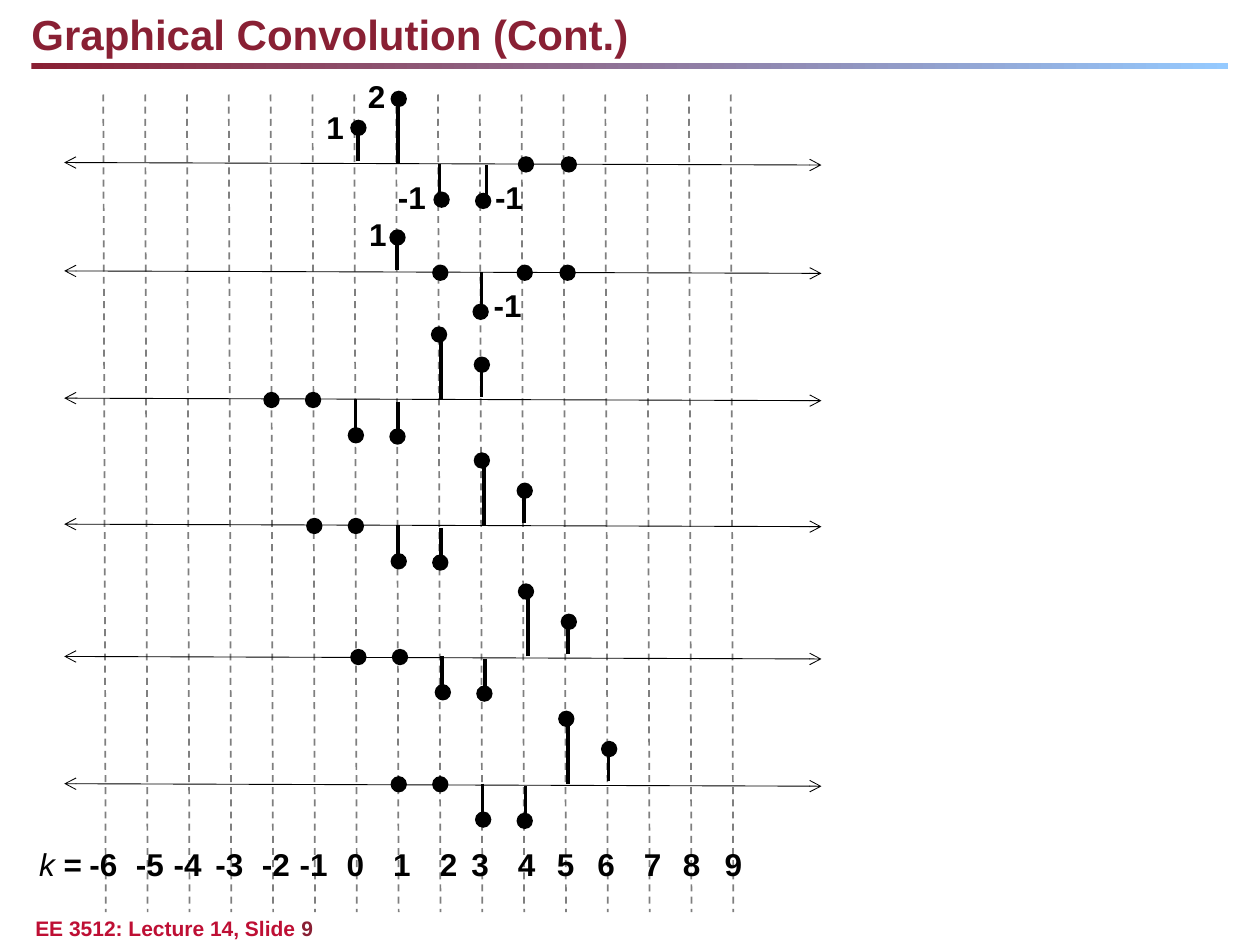
from lxml.etree import SubElement
from pptx import Presentation
from pptx.dml.color import RGBColor
from pptx.enum.dml import MSO_LINE
from pptx.enum.shapes import MSO_CONNECTOR, MSO_SHAPE
from pptx.enum.text import MSO_AUTO_SIZE, PP_ALIGN
from pptx.oxml.ns import qn
from pptx.util import Inches, Pt

BLACK = RGBColor(0x00, 0x00, 0x00)
MAROON = RGBColor(0x89, 0x20, 0x34)
CRIMSON = RGBColor(0xBE, 0x0F, 0x34)
SKY = RGBColor(0x95, 0xCA, 0xFF)

DOT = 0.13
GRID_LEFT, GRID_STEP, GRID_TILT = 0.82, 0.332, 0.02
AXIS_LEFT, AXIS_WIDTH = 0.51, 6.01
AXIS_TOPS = [1.29, 2.15, 3.16, 4.16, 5.21, 6.22]

X_STEMS = [(2.84, 1.28, 1.03), (3.16, 1.3, 0.8), (3.49, 1.3, 1.55), (3.86, 1.31, 1.56)]
X_DOTS = [(2.78, 0.95), (3.1, 0.72), (3.44, 1.52), (3.77, 1.53), (4.11, 1.24), (4.45, 1.24)]
H_STEMS = [(3.15, 2.14, 1.89), (3.82, 2.16, 2.41)]
H_DOTS = [(3.09, 1.82), (3.43, 2.1), (3.75, 2.41), (4.1, 2.1), (4.44, 2.1)]
FLIPPED_STEMS = [(2.82, 3.17, 3.42), (3.16, 3.19, 3.44), (3.5, 3.17, 2.67), (3.82, 3.15, 2.9)]
FLIPPED_DOTS = [(2.09, 3.11), (2.42, 3.11), (2.76, 3.39), (3.09, 3.4), (3.42, 2.59), (3.76, 2.83)]
FLIPPED_SHIFTS = [(0, 0), (0.34, 1), (0.69, 2.04), (1.01, 3.05)]

VALUE_LABELS = [("1", 2.46, 0.86), ("2", 2.79, 0.61), ("-1", 3.07, 1.41),
                ("-1", 3.84, 1.41), ("1", 2.8, 1.71), ("-1", 3.83, 2.27)]
K_VALUES = range(-6, 10)
K_TABS = [0.51, 0.88, 1.18, 1.51, 1.88, 2.18, 2.51, 2.88,
          3.25, 3.5, 3.87, 4.18, 4.5, 4.87, 5.18, 5.51]


def add_line(shapes, start, end, width):
    points = [Inches(value) for value in (*start, *end)]
    line = shapes.add_connector(MSO_CONNECTOR.STRAIGHT, *points)
    line.line.color.rgb = BLACK
    line.line.width = Pt(width)
    SubElement(line._element.spPr, qn("a:effectLst"))
    return line


def add_grid_line(shapes, left):
    grid_line = add_line(shapes, (left, 0.75), (left + GRID_TILT, 7.24), 1)
    grid_line.line.dash_style = MSO_LINE.DASH
    color = grid_line._element.spPr.find(".//" + qn("a:srgbClr"))
    SubElement(color, qn("a:alpha"), val="50000")


def add_axis(shapes, top):
    axis = add_line(shapes, (AXIS_LEFT, top), (AXIS_LEFT + AXIS_WIDTH, top + 0.02), 0.5)
    outline = axis.line._get_or_add_ln()
    for end in ("a:headEnd", "a:tailEnd"):
        SubElement(outline, qn(end), type="arrow")


def add_signal(page, stems, dots, shift=(0, 0)):
    across, down = shift
    shapes = page.shapes.add_group_shape().shapes
    for left, base, tip in stems:
        add_line(shapes, (left + across, base + down), (left + across, tip + down), 2)
    for left, top in dots:
        dot = shapes.add_shape(MSO_SHAPE.OVAL, Inches(left + across), Inches(top + down),
                               Inches(DOT), Inches(DOT))
        dot.shadow.inherit = False
        dot.fill.solid()
        dot.fill.fore_color.rgb = BLACK
        dot.line.fill.background()


def add_text(page, place, spans, size, align=PP_ALIGN.LEFT, line_spacing=1.0, tabs=()):
    box = page.shapes.add_textbox(*[Inches(value) for value in place])
    frame_format = {"margin_left": 0, "margin_right": 0, "margin_top": 0, "margin_bottom": 0,
                    "word_wrap": True, "auto_size": MSO_AUTO_SIZE.SHAPE_TO_FIT_TEXT}
    for name, value in frame_format.items():
        setattr(box.text_frame, name, value)
    para = box.text_frame.paragraphs[0]
    para.alignment = align
    para.line_spacing = line_spacing
    if tabs:
        tab_list = SubElement(para._p.get_or_add_pPr(), qn("a:tabLst"))
        for position in tabs:
            SubElement(tab_list, qn("a:tab"), pos=str(Inches(position)), algn="ctr")
    for text, color, bold in spans:
        span = para.add_run()
        span.text = text
        span.font.color.rgb = color
        font_format = {"name": "Arial", "size": Pt(size), "bold": bold, "italic": not bold}
        for name, value in font_format.items():
            setattr(span.font, name, value)


def add_title_rule(page):
    rule = page.shapes.add_shape(MSO_SHAPE.RECTANGLE, Inches(0.25), Inches(0.5),
                                 Inches(9.5), Inches(0.05))
    rule.shadow.inherit = False
    rule.line.fill.background()
    rule.fill.gradient()
    rule.fill.gradient_angle = 0
    for stop, color, position in zip(rule.fill.gradient_stops, (MAROON, SKY), (0, 1)):
        stop.color.rgb = color
        stop.position = position


def main():
    deck = Presentation()
    deck.slide_width, deck.slide_height = Inches(10), Inches(7.5)
    page = deck.slides.add_slide(deck.slide_layouts[6])

    add_title_rule(page)
    add_text(page, (0.28, 7.27, 8.92, 0.2),
             [("EE 3512: Lecture 14, Slide ", CRIMSON, True), ("9", MAROON, True)], 12)
    add_text(page, (0.25, 0.11, 9.46, 0.36),
             [("Graphical Convolution (Cont.)", MAROON, True)], 24, line_spacing=0.9)

    for index in range(len(K_VALUES)):
        add_grid_line(page.shapes, GRID_LEFT + index * GRID_STEP)
    for top in AXIS_TOPS:
        add_axis(page.shapes, top)

    add_signal(page, X_STEMS, X_DOTS)
    add_signal(page, H_STEMS, H_DOTS)
    for shift in FLIPPED_SHIFTS:
        add_signal(page, FLIPPED_STEMS, FLIPPED_DOTS, shift)

    for text, left, top in VALUE_LABELS:
        add_text(page, (left, top, 0.4, 0.3), [(text, BLACK, True)], 18, PP_ALIGN.CENTER)
    scale = "\t".join(["=", *map(str, K_VALUES)])
    add_text(page, (0.31, 6.71, 6.78, 0.3),
             [("k ", BLACK, False), (scale, BLACK, True)], 18, tabs=K_TABS)

    deck.save("out.pptx")


if __name__ == "__main__":
    main()
